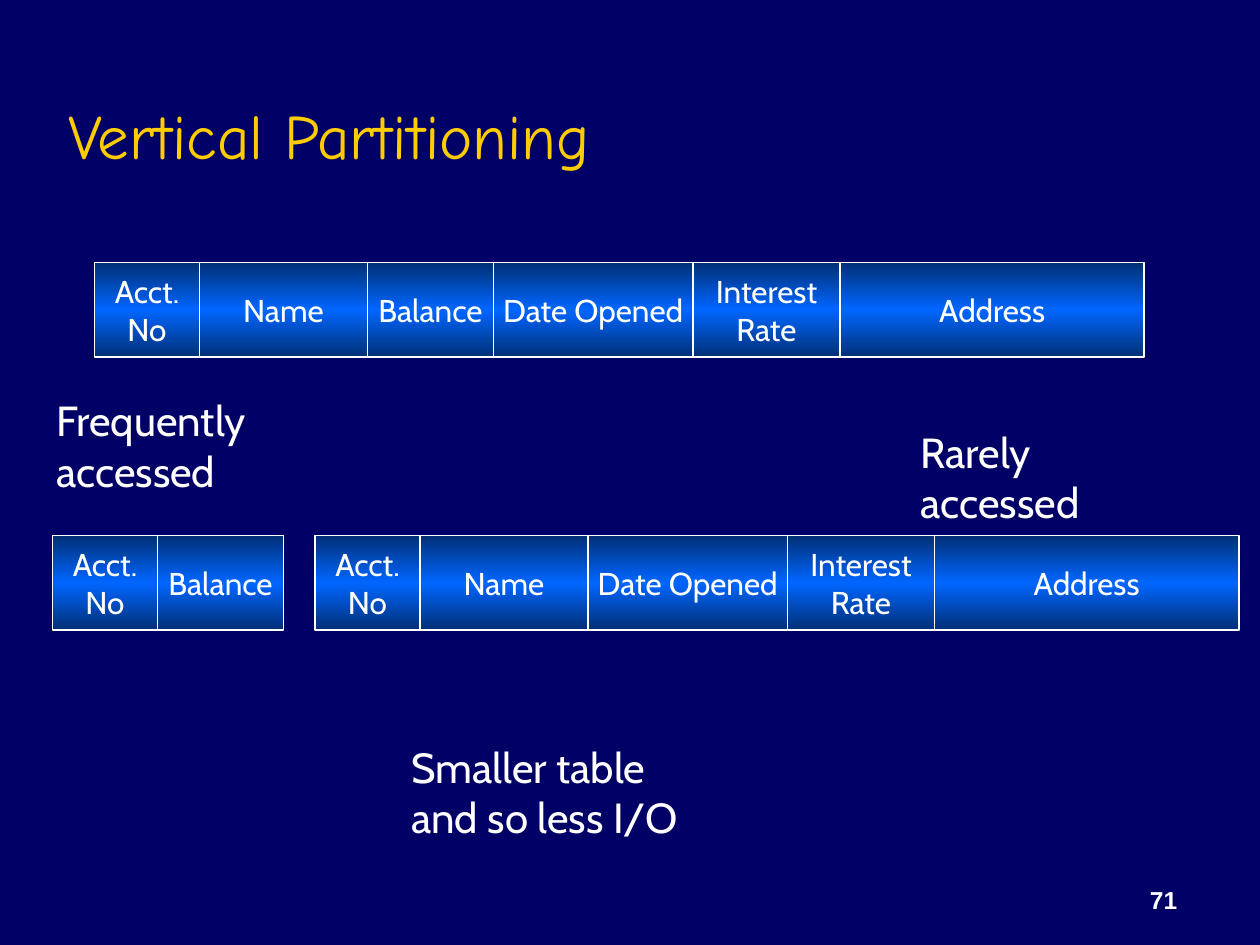
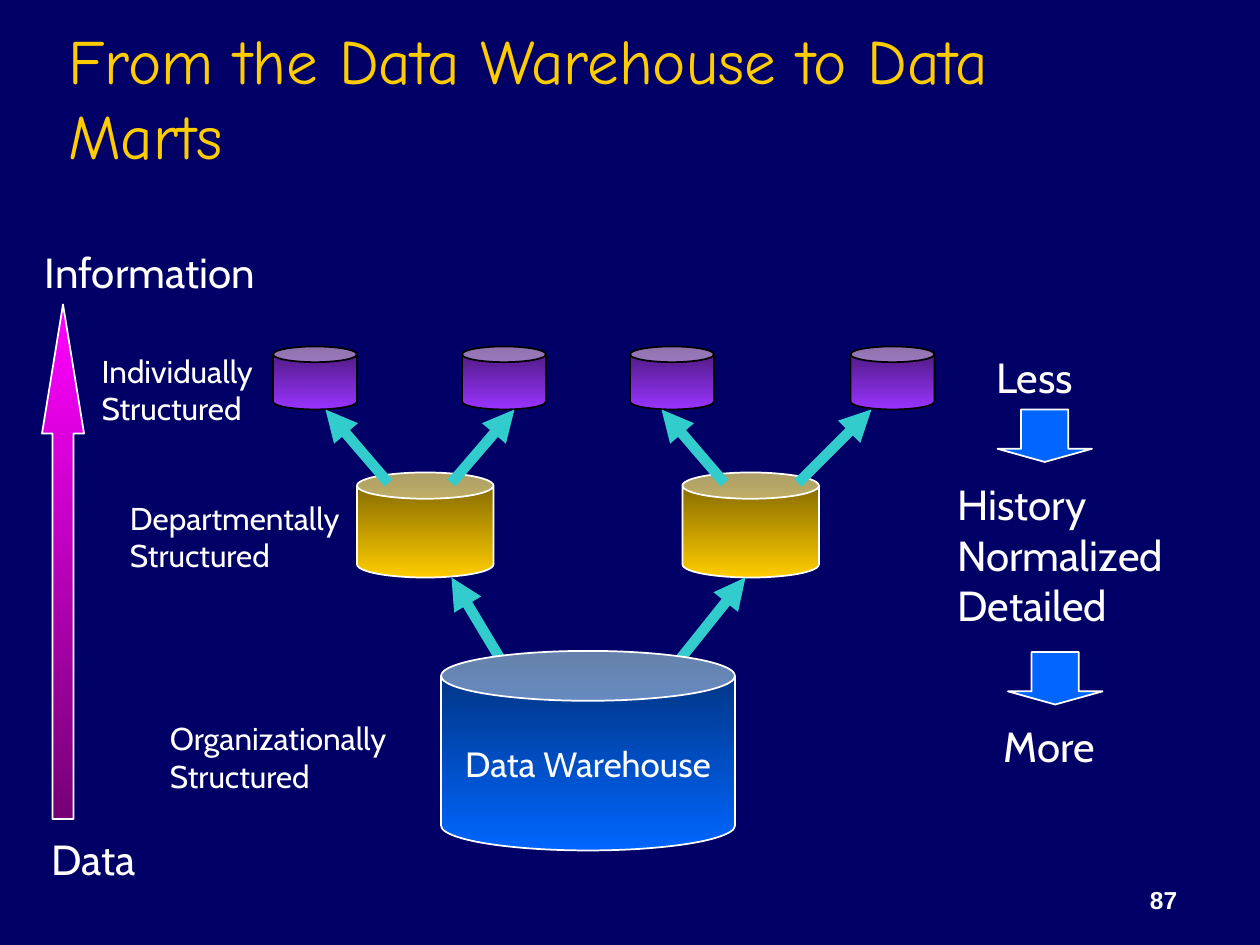
import copy
from typing import NamedTuple, Optional

import pptx
import pptx.dml.color
import pptx.enum.shapes
import pptx.enum.text
import pptx.oxml.ns
import pptx.util
from lxml import etree

RGB = pptx.dml.color.RGBColor
SHAPE = pptx.enum.shapes.MSO_SHAPE
ALIGN = pptx.enum.text.PP_ALIGN
ANCHOR = pptx.enum.text.MSO_ANCHOR
qn = pptx.oxml.ns.qn

# Scale: 120 px to the inch
EMU_PER_PX = 7620
SLIDE_WIDTH, SLIDE_HEIGHT = 1200, 900

# Colours
NAVY = RGB(0x00, 0x00, 0x66)
WHITE = RGB(0xFF, 0xFF, 0xFF)
BLACK = RGB(0x00, 0x00, 0x00)
GOLD = RGB(0xFF, 0xCC, 0x00)
DARK_GOLD = RGB(0x76, 0x5E, 0x00)
BLUE = RGB(0x00, 0x66, 0xFF)
DARK_BLUE = RGB(0x00, 0x2F, 0x76)
PURPLE = RGB(0x99, 0x33, 0xFF)
DARK_PURPLE = RGB(0x47, 0x18, 0x76)
MAGENTA = RGB(0xFF, 0x00, 0xFF)
DARK_MAGENTA = RGB(0x76, 0x00, 0x76)
TEAL = RGB(0x33, 0xCC, 0xCC)


class TextStyle(NamedTuple):
    size: int
    font: str = "Cabin"
    color: RGB = WHITE
    bold: bool = False
    align: ALIGN = ALIGN.LEFT
    anchor: ANCHOR = ANCHOR.TOP


TITLE = TextStyle(36, "Comic Neue", GOLD, anchor=ANCHOR.BOTTOM)
PAGE_NUMBER = TextStyle(14, "Arial", bold=True, align=ALIGN.RIGHT, anchor=ANCHOR.BOTTOM)
NOTE = TextStyle(24)
LEVEL_NAME = TextStyle(18)
FIELD_NAME = TextStyle(18, align=ALIGN.CENTER, anchor=ANCHOR.MIDDLE)
STORE_NAME = TextStyle(20, align=ALIGN.CENTER, anchor=ANCHOR.MIDDLE)


class Box(NamedTuple):
    left: int
    top: int
    width: int
    height: int


class Label(NamedTuple):
    text: str
    box: Box
    style: TextStyle = NOTE
    wrap: bool = False


class Look(NamedTuple):
    kind: SHAPE
    fill: tuple[RGB, ...]  # one colour is solid, more are gradient stops from the top
    outline: RGB = WHITE
    adjustments: tuple[float, ...] = ()


class Flow(NamedTuple):
    start: tuple[int, int]
    end: tuple[int, int]


FIELD = Look(SHAPE.RECTANGLE, (DARK_BLUE, BLUE, DARK_BLUE))
WAREHOUSE = Look(SHAPE.CAN, (DARK_BLUE, BLUE), adjustments=(0.25,))
DEPARTMENT_MART = Look(SHAPE.CAN, (DARK_GOLD, GOLD), adjustments=(0.25,))
INDIVIDUAL_MART = Look(SHAPE.CAN, (DARK_PURPLE, PURPLE), BLACK, (0.25,))
DETAIL_ARROW = Look(SHAPE.DOWN_ARROW, (BLUE,), adjustments=(0.5, 0.25))
INFORMATION_ARROW = Look(SHAPE.UP_ARROW, (MAGENTA, DARK_MAGENTA), adjustments=(0.5, 3.07))


def px(length: int) -> pptx.util.Emu:
    return pptx.util.Emu(length * EMU_PER_PX)


def write(frame, text: str, style: TextStyle, wrap: bool) -> None:
    frame.text = text
    frame.word_wrap = wrap
    frame.vertical_anchor = style.anchor
    for paragraph in frame.paragraphs:
        paragraph.alignment = style.align
        for run in paragraph.runs:
            run.font.size = pptx.util.Pt(style.size)
            run.font.name = style.font
            run.font.bold = style.bold
            run.font.color.rgb = style.color


def draw_label(slide, label: Label) -> None:
    frame = slide.shapes.add_textbox(*map(px, label.box)).text_frame
    write(frame, label.text, label.style, label.wrap)
    if label.style.anchor == ANCHOR.TOP:
        frame.auto_size = pptx.enum.text.MSO_AUTO_SIZE.SHAPE_TO_FIT_TEXT


def draw_shape(slide, look: Look, box: Box, text: str = "",
               style: Optional[TextStyle] = None) -> None:
    shape = slide.shapes.add_shape(look.kind, *map(px, box))
    shape.shadow.inherit = False
    for index, adjustment in enumerate(look.adjustments):
        shape.adjustments[index] = adjustment
    shape.line.color.rgb = look.outline
    shape.line.width = pptx.util.Pt(1)
    if len(look.fill) == 1:
        shape.fill.solid()
        shape.fill.fore_color.rgb = look.fill[0]
    else:
        shape.fill.gradient()
        shape.fill.gradient_angle = 270
        stop_list = shape.element.spPr.find(".//" + qn("a:gsLst"))
        while len(stop_list) < len(look.fill):
            stop_list.append(copy.deepcopy(stop_list[0]))
        for index, (stop, color) in enumerate(zip(shape.fill.gradient_stops, look.fill)):
            stop.position = index / (len(look.fill) - 1)
            stop.color.rgb = color
    if style:
        write(shape.text_frame, text, style, wrap=False)


def draw_flow(slide, flow: Flow) -> None:
    arrow = slide.shapes.add_connector(pptx.enum.shapes.MSO_CONNECTOR.STRAIGHT,
                                       *map(px, flow.start + flow.end))
    arrow.line.color.rgb = TEAL
    arrow.line.width = pptx.util.Pt(6)
    properties = arrow.element.spPr
    etree.SubElement(properties.find(qn("a:ln")), qn("a:tailEnd"), type="triangle")
    etree.SubElement(properties, qn("a:effectLst"))


def add_slide(deck, title: str, number: int):
    slide = deck.slides.add_slide(deck.slide_layouts[6])
    slide.background.fill.solid()
    slide.background.fill.fore_color.rgb = NAVY
    draw_label(slide, Label(str(number), Box(883, 817, 250, 60), PAGE_NUMBER, True))
    draw_label(slide, Label(title, Box(53, 30, 1020, 140), TITLE, True))
    return slide


# Vertical partitioning
ACCOUNT, RATE = "Acct.\vNo", "Interest\vRate"
FIELD_WIDTHS = {ACCOUNT: 100, "Name": 160, "Balance": 120,
                "Date Opened": 190, RATE: 140, "Address": 290}
FREQUENT_FIELDS = (ACCOUNT, "Balance")
RARE_FIELDS = tuple(field for field in FIELD_WIDTHS if field != "Balance")

PARTITION_NOTES = (
    Label("Frequently\naccessed", Box(42, 370, 226, 108)),
    Label("Rarely\naccessed", Box(865, 400, 193, 108)),
    Label("Smaller table\nand so less I/O", Box(380, 700, 310, 108), wrap=True),
)


def draw_record(slide, left: int, top: int, fields: tuple[str, ...]) -> None:
    for field in fields:
        width = FIELD_WIDTHS[field]
        draw_shape(slide, FIELD, Box(left, top, width, 90), field, FIELD_NAME)
        left += width


def build_partitioning(deck) -> None:
    slide = add_slide(deck, "Vertical Partitioning", 71)
    for note in PARTITION_NOTES:
        draw_label(slide, note)
    draw_record(slide, 90, 250, tuple(FIELD_WIDTHS))
    draw_record(slide, 50, 510, FREQUENT_FIELDS)
    draw_record(slide, 300, 510, RARE_FIELDS)


# From the warehouse to data marts
DEPARTMENT_LEFTS = (340, 650)
INDIVIDUAL_LEFTS = (260, 440, 600, 810)
DEPARTMENT_FLOWS = (Flow((490, 650), (430, 550)), Flow((630, 650), (710, 550)))
# Each pair is where a flow leaves a department and reaches an individual mart
INDIVIDUAL_FLOWS = tuple(Flow((start, 460), (end, 390)) for start, end in
                         ((430, 490), (760, 830), (370, 310), (690, 630)))

MART_LABELS = (
    Label("Individually\vStructured", Box(85, 329, 186, 84), LEVEL_NAME),
    Label("Departmentally\vStructured", Box(112, 469, 242, 84), LEVEL_NAME),
    Label("Organizationally\vStructured", Box(150, 679, 254, 84), LEVEL_NAME),
    Label("Less", Box(937, 329, 106, 60)),
    Label("History\nNormalized\nDetailed", Box(900, 450, 241, 156)),
    Label("More", Box(944, 680, 124, 60)),
    Label("Information", Box(31, 229, 250, 60)),
    Label("Data", Box(37, 788, 113, 60)),
)


def build_data_marts(deck) -> None:
    slide = add_slide(deck, "From the Data Warehouse to Data Marts", 87)

    # Marts and the flows between levels, with the warehouse in front
    for left in DEPARTMENT_LEFTS:
        draw_shape(slide, DEPARTMENT_MART, Box(left, 450, 130, 100))
    for left in INDIVIDUAL_LEFTS:
        draw_shape(slide, INDIVIDUAL_MART, Box(left, 330, 80, 60))
    for flow in DEPARTMENT_FLOWS + INDIVIDUAL_FLOWS:
        draw_flow(slide, flow)
    draw_shape(slide, WAREHOUSE, Box(420, 620, 280, 190), "Data Warehouse", STORE_NAME)

    # Scales on both sides
    draw_shape(slide, DETAIL_ARROW, Box(950, 390, 90, 50))
    draw_shape(slide, DETAIL_ARROW, Box(960, 621, 90, 50))
    draw_shape(slide, INFORMATION_ARROW, Box(40, 290, 40, 490))
    for label in MART_LABELS:
        draw_label(slide, label)


def main() -> None:
    deck = pptx.Presentation()
    deck.slide_width = px(SLIDE_WIDTH)
    deck.slide_height = px(SLIDE_HEIGHT)
    build_partitioning(deck)
    build_data_marts(deck)
    deck.save("out.pptx")


if __name__ == "__main__":
    main()
